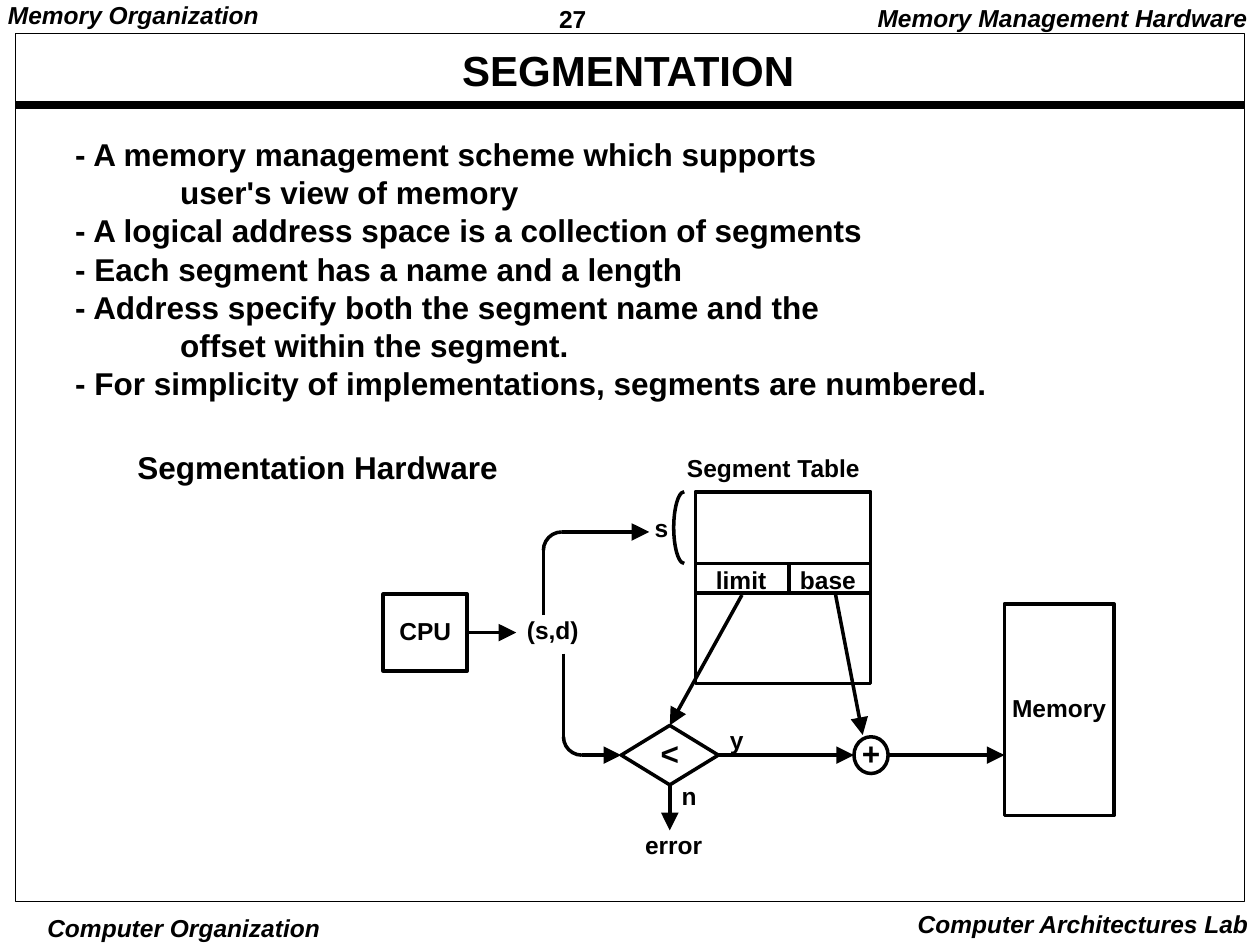
from lxml import etree
from pptx import Presentation
from pptx import util as u
from pptx.dml.color import RGBColor
from pptx.enum import shapes, text
from pptx.oxml import ns

Pt = u.Pt
BLACK = RGBColor(0, 0, 0)
WHITE = RGBColor(255, 255, 255)
FONT = "Arial"
SHAPE = shapes.MSO_SHAPE
LEFT, CENTER, RIGHT = text.PP_ALIGN.LEFT, text.PP_ALIGN.CENTER, text.PP_ALIGN.RIGHT
DEFAULT_INSETS = (7.2, 3.6)
TIGHT_INSETS = (5, 2)


def write(tf, lines, size, italic=False, align=LEFT, spacing=0.9, insets=DEFAULT_INSETS):
    tf.margin_left = tf.margin_right = Pt(insets[0])
    tf.margin_top = tf.margin_bottom = Pt(insets[1])
    tf.text = "\n".join(lines)
    for p in tf.paragraphs:
        p.alignment = align
        p.line_spacing = spacing
        for r in p.runs:
            r.font.name = FONT
            r.font.size = Pt(size)
            r.font.bold = True
            r.font.italic = italic
            r.font.color.rgb = BLACK


def add_text(s, x, y, w, h, lines, size=14, **style):
    tf = s.shapes.add_textbox(Pt(x), Pt(y), Pt(w), Pt(h)).text_frame
    write(tf, lines, size, **style)
    tf.word_wrap = False
    tf.auto_size = text.MSO_AUTO_SIZE.SHAPE_TO_FIT_TEXT
    return tf


def add_outline(s, kind, x, y, w, h, fill=WHITE, width=2, label=None, size=14):
    sp = s.shapes.add_shape(kind, Pt(x), Pt(y), Pt(w), Pt(h))
    sp.shadow.inherit = False
    if fill is None:
        sp.fill.background()
    else:
        sp.fill.solid()
        sp.fill.fore_color.rgb = fill
    sp.line.color.rgb = BLACK
    sp.line.width = Pt(width)
    if label:
        tf = sp.text_frame
        write(tf, [label], size, align=CENTER, insets=(0, 0))
        tf.word_wrap = False
        tf.vertical_anchor = text.MSO_ANCHOR.MIDDLE
    return sp


def add_arc(s, x, y, w, h, start, end):
    sp = add_outline(s, SHAPE.ARC, x, y, w, h, fill=None)
    sp.adjustments[0] = start * 0.6
    sp.adjustments[1] = end * 0.6


def add_line(s, x1, y1, x2, y2, width=2, arrow=False, begin=None, end=None):
    cn = s.shapes.add_connector(shapes.MSO_CONNECTOR.STRAIGHT, Pt(x1), Pt(y1), Pt(x2), Pt(y2))
    cn.line.color.rgb = BLACK
    cn.line.width = Pt(width)
    if arrow:
        etree.SubElement(cn.line._get_or_add_ln(), ns.qn("a:tailEnd"),
                         type="triangle", w="lg", len="lg")
    etree.SubElement(cn._element.spPr, ns.qn("a:effectLst"))
    if begin:
        cn.begin_connect(*begin)
    if end:
        cn.end_connect(*end)


def page_frame(s, x, y, w, h):
    add_text(s, x + 305.5, y - 19, 78, 21, ["27"], spacing=1.01, insets=TIGHT_INSETS)
    add_text(s, x - 9.5, y - 19, 165, 19, ["Memory Organization"], italic=True,
             insets=TIGHT_INSETS)
    add_text(s, x + w - 223, y - 19, 232, 22, ["Memory Management Hardware"],
             italic=True, align=RIGHT)
    add_text(s, x + 11, y + h + 6, 170, 19, ["Computer Organization"], italic=True,
             align=CENTER, spacing=1.0, insets=(2, 1))
    add_text(s, x + w - 200, y + h + 1, 209.5, 24, ["Computer Architectures Lab"],
             italic=True, align=RIGHT, spacing=1.0)
    add_line(s, x, y + 41, x + w, y + 41, width=4.5)
    add_outline(s, SHAPE.RECTANGLE, x, y, w, h, fill=None, width=0.5)


def title(s, x, y, w, h):
    sp = s.shapes.title
    sp.left, sp.top, sp.width, sp.height = Pt(x), Pt(y), Pt(w), Pt(h)
    tf = sp.text_frame
    write(tf, ["SEGMENTATION"], 24, align=CENTER, insets=TIGHT_INSETS)
    tf.vertical_anchor = text.MSO_ANCHOR.MIDDLE
    tf.auto_size = text.MSO_AUTO_SIZE.NONE


def statements(s, x, y, w, h):
    lines = [
        "- A memory management scheme which supports",
        "user's view of memory",
        "- A logical address space is a collection of segments",
        "- Each segment has a name and a length",
        "- Address specify both the segment name and the",
        "offset within the segment.",
        "- For simplicity of implementations, segments are numbered.",
    ]
    tf = add_text(s, x, y, w, h, lines, size=18, spacing=1.01, insets=TIGHT_INSETS)
    for p in tf.paragraphs:
        if not p.text.startswith("-"):
            pPr = p._p.get_or_add_pPr()
            pPr.set("marL", str(Pt(60)))
            pPr.set("indent", "0")


def segment_table(s, x, y, w, h):
    add_text(s, x - 12, y - 24, 122, 22, ["Segment Table"])
    add_outline(s, SHAPE.RECTANGLE, x, y, w, h)
    for row_y in (y + 41, y + 58):
        add_line(s, x, row_y, x + w, row_y)
    add_line(s, x + 53.5, y + 41, x + 53.5, y + 57)
    add_text(s, x + 4.5, y + 40, 50, 22, ["limit"])
    add_text(s, x + 52.5, y + 40, 54, 22, ["base"])
    add_arc(s, x - 12.5, y, 12, 41, 90, 270)


def hardware(s, x, y):
    flow_y = y + 174.5
    segment_table(s, x + 178.5, y + 24, 100, 109.5)
    cpu = add_outline(s, SHAPE.RECTANGLE, x, y + 82.5, 48, 44, label="CPU")
    memory_x = x + 355
    add_outline(s, SHAPE.RECTANGLE, memory_x, y + 88, 62.5, 121, label="Memory")
    compare = add_outline(s, SHAPE.DIAMOND, x + 136, flow_y - 17, 55.5, 34,
                          label="<", size=18)
    adder_x, adder_w = x + 269, 19.5
    add_outline(s, SHAPE.OVAL, adder_x, flow_y - 10.5, adder_w, 21, label="+", size=18)

    add_line(s, x + 48, y + 104.5, x + 76, y + 104.5, arrow=True, begin=(cpu, 3))
    add_line(s, x + 91.5, y + 94.5, x + 91.5, y + 57.5)
    add_arc(s, x + 91.5, y + 47, 21, 21, 180, 270)
    add_line(s, x + 102, y + 47, x + 152, y + 47, arrow=True)
    add_line(s, x + 103, y + 116.5, x + 103, flow_y - 10.5)
    add_arc(s, x + 103, flow_y - 21, 21, 21, 90, 180)
    add_line(s, x + 113.5, flow_y, x + 136, flow_y, arrow=True, end=(compare, 1))
    add_line(s, x + 191.5, flow_y, adder_x, flow_y, arrow=True, begin=(compare, 3))
    add_line(s, adder_x + adder_w, flow_y, memory_x, flow_y, arrow=True)
    add_line(s, x + 205, y + 83, x + 164, y + 157, arrow=True, end=(compare, 0))
    add_line(s, x + 258.5, y + 83, x + 274, y + 163, arrow=True)
    add_line(s, x + 163.75, flow_y + 17, x + 163.75, y + 217.5, arrow=True,
             begin=(compare, 2))

    for label, dx, dy, w in (("(s,d)", 75, 93, 50), ("s", 148, 34.5, 28),
                             ("y", 191, 155.5, 28), ("n", 163.5, 187.5, 28),
                             ("error", 142.5, 215.5, 54)):
        add_text(s, x + dx, y + dy, w, 22, [label])


def main():
    prs = Presentation()
    prs.slide_width, prs.slide_height = Pt(720), Pt(540)
    s = prs.slides.add_slide(prs.slide_layouts[5])
    page_frame(s, 9, 19, 702, 496)
    title(s, 32, 23, 654, 37)
    statements(s, 38, 75, 545, 157)
    add_text(s, 73.5, 253.5, 226, 26, ["Segmentation Hardware"], size=18,
             spacing=1.02, insets=TIGHT_INSETS)
    hardware(s, 219, 257)
    prs.save("out.pptx")


if __name__ == "__main__":
    main()
